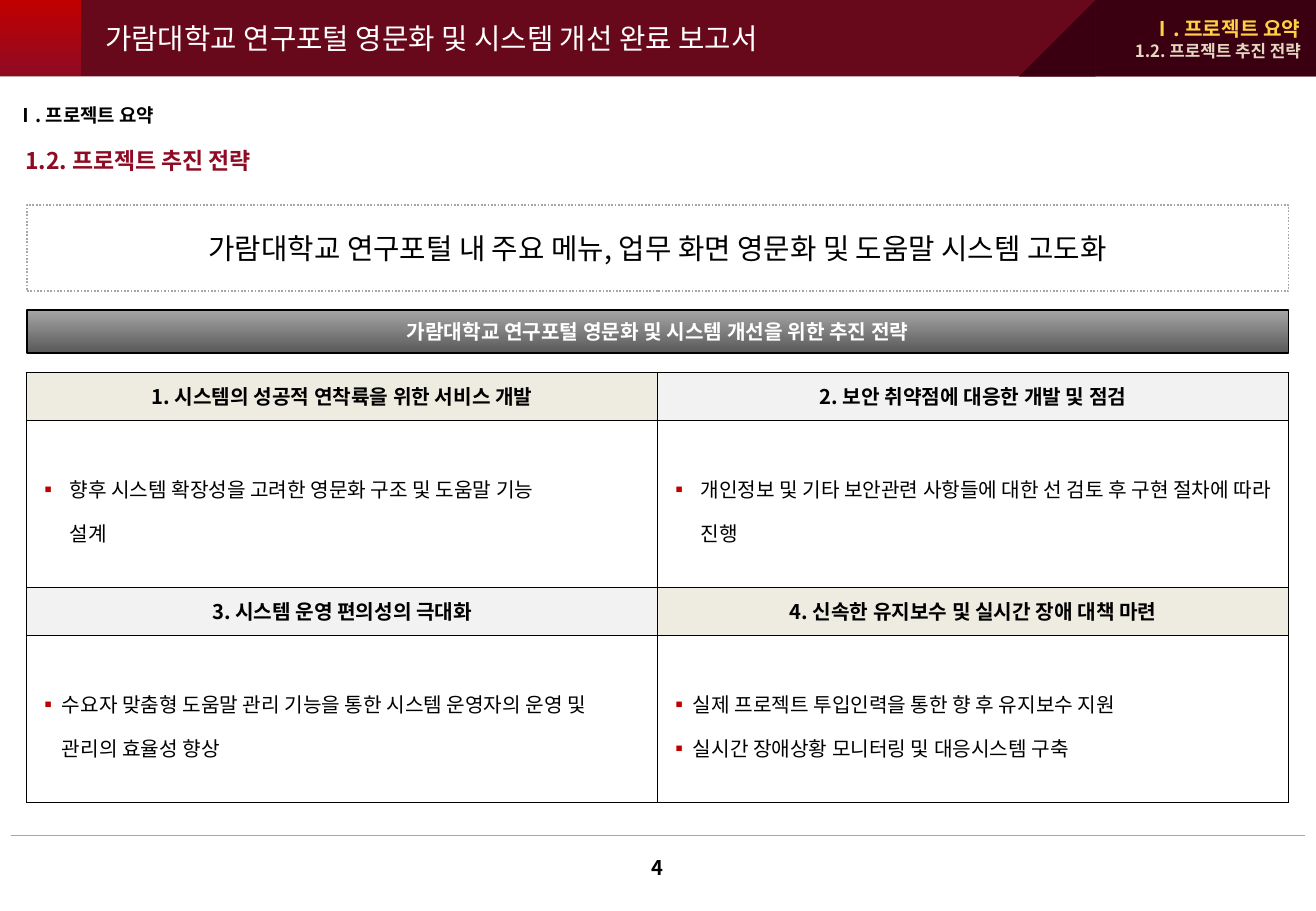
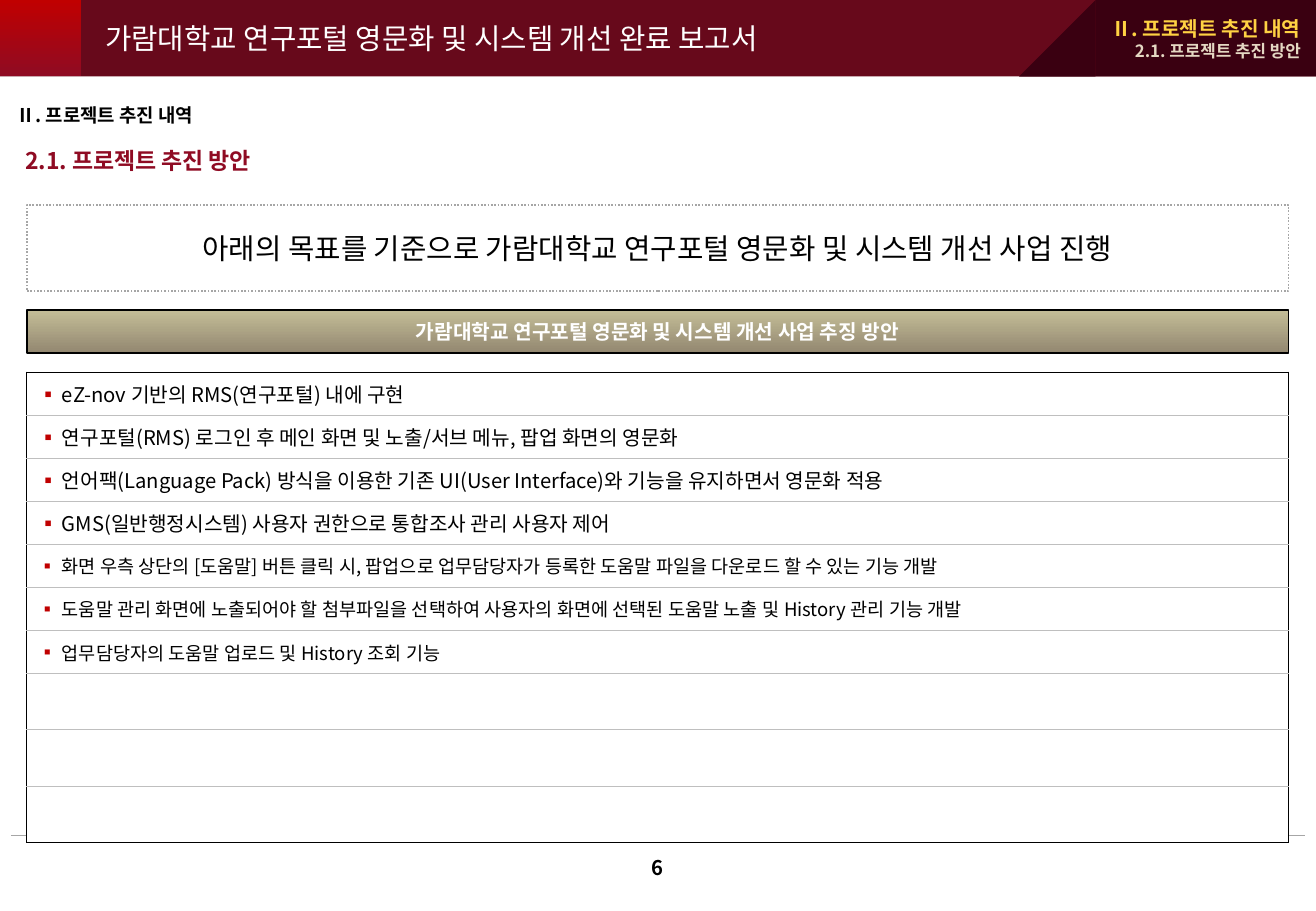
from lxml.etree import SubElement
from pptx import Presentation
from pptx.dml.color import RGBColor
from pptx.enum.dml import MSO_LINE
from pptx.enum.shapes import MSO_CONNECTOR, MSO_SHAPE
from pptx.enum.text import MSO_ANCHOR, PP_ALIGN
from pptx.oxml.ns import qn
from pptx.util import Cm, Pt

FONT = "Noto Sans CJK KR"
WIDE, HIGH, BAND = 27.53, 19.05, 1.6
LEFT, FULL, TOP = 0.56, 26.4, 7.78
BLACK, WHITE, GRAY, PALE = "000000", "FFFFFF", "A6A6A6", "BFBFBF"
WINE, RED, CRIM, DARK = "67091B", "C00000", "8F0B23", "3A0011"
GOLD, SAND = "FFD243", "E4D7C2"
IVORY, MIST = "EEECE1", "F2F2F2"
REPORT = "가람대학교 연구포털 영문화 및 시스템 개선 완료 보고서"

PLAN = {
    "num": "4",
    "part": "Ⅰ. 프로젝트 요약",
    "head": "1.2. 프로젝트 추진 전략",
    "goal": "가람대학교 연구포털 내 주요 메뉴, 업무 화면 영문화 및 도움말 시스템 고도화",
    "bar": "가람대학교 연구포털 영문화 및 시스템 개선을 위한 추진 전략",
    "tint": (GRAY, "595959"),
}
CARDS = [
    ("1. 시스템의 성공적 연착륙을 위한 서비스 개발", IVORY, 0.64,
     ["향후 시스템 확장성을 고려한 영문화 구조 및 도움말 기능\n설계"]),
    ("2. 보안 취약점에 대응한 개발 및 점검", MIST, 0.64,
     ["개인정보 및 기타 보안관련 사항들에 대한 선 검토 후 구현 절차에 따라 진행"]),
    ("3. 시스템 운영 편의성의 극대화", MIST, 0.48,
     ["수요자 맞춤형 도움말 관리 기능을 통한 시스템 운영자의 운영 및 관리의 효율성 향상"]),
    ("4. 신속한 유지보수 및 실시간 장애 대책 마련", IVORY, 0.48,
     ["실제 프로젝트 투입인력을 통한 향 후 유지보수 지원",
      "실시간 장애상황 모니터링 및 대응시스템 구축"]),
]
WORK = {
    "num": "6",
    "part": "Ⅱ. 프로젝트 추진 내역",
    "head": "2.1. 프로젝트 추진 방안",
    "goal": "아래의 목표를 기준으로 가람대학교 연구포털 영문화 및 시스템 개선 사업 진행",
    "bar": "가람대학교 연구포털 영문화 및 시스템 개선 사업 추징 방안",
    "tint": ("C4BD97", "938871"),
}
TASKS = [
    ("eZ-nov 기반의 RMS(연구포털) 내에 구현", 12),
    ("연구포털(RMS) 로그인 후 메인 화면 및 노출/서브 메뉴, 팝업 화면의 영문화", 12),
    ("언어팩(Language Pack) 방식을 이용한 기존 UI(User Interface)와 기능을 유지하면서 영문화 적용", 12),
    ("GMS(일반행정시스템) 사용자 권한으로 통합조사 관리 사용자 제어", 12),
    ("화면 우측 상단의 [도움말] 버튼 클릭 시, 팝업으로 업무담당자가 등록한 도움말 파일을 다운로드 할 수 있는 기능 개발", 11),
    ("도움말 관리 화면에 노출되어야 할 첨부파일을 선택하여 사용자의 화면에 선택된 도움말 노출 및 History 관리 기능 개발", 11),
    ("업무담당자의 도움말 업로드 및 History 조회 기능", 11),
]
SPARE = 3


def rgb(code):
    return RGBColor.from_string(code)


def write(para, text, size, color=BLACK, bold=False, align=PP_ALIGN.LEFT, before=0):
    para.alignment = align
    para.space_before = Pt(before)
    for i, part in enumerate(text.split("\n")):
        if i:
            para.add_line_break()
        run = para.add_run()
        run.text = part
        font = run.font
        font.name, font.size, font.bold = FONT, Pt(size), bold
        font.color.rgb = rgb(color)
        SubElement(font._element, qn("a:ea"), typeface=FONT)


def bullet(para, text, size, hang):
    write(para, text, size)
    prop = para._p.get_or_add_pPr()
    prop.set("marL", str(Cm(hang)))
    prop.set("indent", str(-Cm(hang)))
    tint = SubElement(prop, qn("a:buClr"))
    SubElement(tint, qn("a:srgbClr"), val=RED)
    SubElement(prop, qn("a:buFont"), typeface=FONT)
    SubElement(prop, qn("a:buChar"), char="▪")


def frame(shape, anchor=MSO_ANCHOR.MIDDLE, side=0.3):
    body = shape.text_frame
    body.word_wrap = True
    body.vertical_anchor = anchor
    body.margin_left = body.margin_right = Cm(side)
    body.margin_top = body.margin_bottom = Cm(0.15)
    return body


def label(slide, box, rows, anchor=MSO_ANCHOR.MIDDLE, side=0.3):
    body = frame(slide.shapes.add_textbox(*map(Cm, box)), anchor, side)
    for i, row in enumerate(rows):
        write(body.add_paragraph() if i else body.paragraphs[0], *row)


def block(slide, box, fill, kind=MSO_SHAPE.RECTANGLE):
    shape = slide.shapes.add_shape(kind, *map(Cm, box))
    shape.shadow.inherit = False
    shape.line.fill.background()
    if isinstance(fill, tuple):
        shape.fill.gradient()
        shape.fill.gradient_angle = 270
        for stop, code in zip(shape.fill.gradient_stops, fill):
            stop.color.rgb = rgb(code)
    else:
        shape.fill.solid()
        shape.fill.fore_color.rgb = rgb(fill)
    return shape


def edge(shape, color):
    shape.line.color.rgb = rgb(color)
    shape.line.width = Pt(1)


def base(deck, data):
    slide = deck.slides.add_slide(deck.slide_layouts[6])
    block(slide, (0, 0, WIDE, BAND), WINE)
    block(slide, (0, 0, 1.7, BAND), (RED, CRIM))
    label(slide, (1.95, 0, 20.1, BAND), [(REPORT, 17, WHITE)], side=0.25)
    rule = slide.shapes.add_connector(
        MSO_CONNECTOR.STRAIGHT, Cm(0.23), Cm(17.47), Cm(27.3), Cm(17.47))
    rule.line.color.rgb = rgb(GRAY)
    rule.line.width = Pt(0.25)
    SubElement(rule._element.spPr, qn("a:effectLst"))
    tab = 22.92
    slope = block(slide, (tab - BAND, 0, BAND, BAND), DARK, MSO_SHAPE.RIGHT_TRIANGLE)
    slope.rotation = 270
    block(slide, (tab, 0, WIDE - tab, BAND), DARK)

    mid = PP_ALIGN.CENTER
    part, head = data["part"], data["head"]
    label(slide, (11.33, 17.73, 4.85, 0.6),
          [(data["num"], 12, BLACK, True, mid)], MSO_ANCHOR.TOP)
    label(slide, (0.23, 2.92, 26.75, 0.9),
          [(head, 13.6, CRIM, True, PP_ALIGN.LEFT, 4)], MSO_ANCHOR.TOP)
    label(slide, (0.05, 2, 26.9, 0.8),
          [(part, 11.2, BLACK, True, PP_ALIGN.LEFT, 4.5)])
    label(slide, (19.76, 0, 7.75, BAND),
          [(part, 12, GOLD, True, PP_ALIGN.RIGHT),
           (head, 10, SAND, True, PP_ALIGN.RIGHT)])

    goal = block(slide, (LEFT, 4.29, FULL, 1.8), WHITE)
    SubElement(goal.fill._xPr.find(".//" + qn("a:srgbClr")), qn("a:alpha"), val="56000")
    edge(goal, GRAY)
    goal.line.dash_style = MSO_LINE.ROUND_DOT
    write(frame(goal).paragraphs[0], data["goal"], 17, BLACK, False, mid, 4.2)
    bar = block(slide, (LEFT, 6.48, FULL, 0.9), data["tint"])
    edge(bar, BLACK)
    write(frame(bar).paragraphs[0], data["bar"], 12, WHITE, True, mid, 3)
    return slide


def grid(slide, highs, cols):
    table = slide.shapes.add_table(
        len(highs), cols, Cm(LEFT), Cm(TOP), Cm(FULL), Cm(sum(highs))).table
    table.first_row = table.horz_banding = False
    for row, high in zip(table.rows, highs):
        row.height = Cm(high)
    return table


def dress(cell, fill, above=BLACK, below=BLACK):
    prop = cell._tc.get_or_add_tcPr()
    for side, code in zip("LRTB", (BLACK, BLACK, above, below)):
        line = SubElement(prop, qn("a:ln" + side), w=str(Pt(0.45)))
        solid = SubElement(line, qn("a:solidFill"))
        SubElement(solid, qn("a:srgbClr"), val=code)
    cell.fill.solid()
    cell.fill.fore_color.rgb = rgb(fill)
    cell.vertical_anchor = MSO_ANCHOR.MIDDLE


def cards(slide):
    table = grid(slide, [1, 3.5] * 2, 2)
    for i, (title, fill, hang, items) in enumerate(CARDS):
        row, col = i // 2 * 2, i % 2
        head, cell = table.cell(row, col), table.cell(row + 1, col)
        dress(head, fill)
        write(head.text_frame.paragraphs[0], title, 12, BLACK, True, PP_ALIGN.CENTER)
        dress(cell, WHITE)
        body = cell.text_frame
        for j, item in enumerate(items):
            para = body.add_paragraph() if j else body.paragraphs[0]
            para.line_spacing = 1.5
            bullet(para, item, 12, hang)


def tasks(slide):
    highs = [0.9] * len(TASKS) + [1.18] * SPARE
    table = grid(slide, highs, 1)
    last = len(highs) - 1
    for i in range(len(highs)):
        cell = table.cell(i, 0)
        dress(cell, WHITE, PALE if i else BLACK, PALE if i < last else BLACK)
        if i < len(TASKS):
            bullet(cell.text_frame.paragraphs[0], *TASKS[i], 0.48)


def main():
    deck = Presentation()
    deck.slide_width, deck.slide_height = Cm(WIDE), Cm(HIGH)
    cards(base(deck, PLAN))
    tasks(base(deck, WORK))
    deck.save("out.pptx")


if __name__ == "__main__":
    main()
